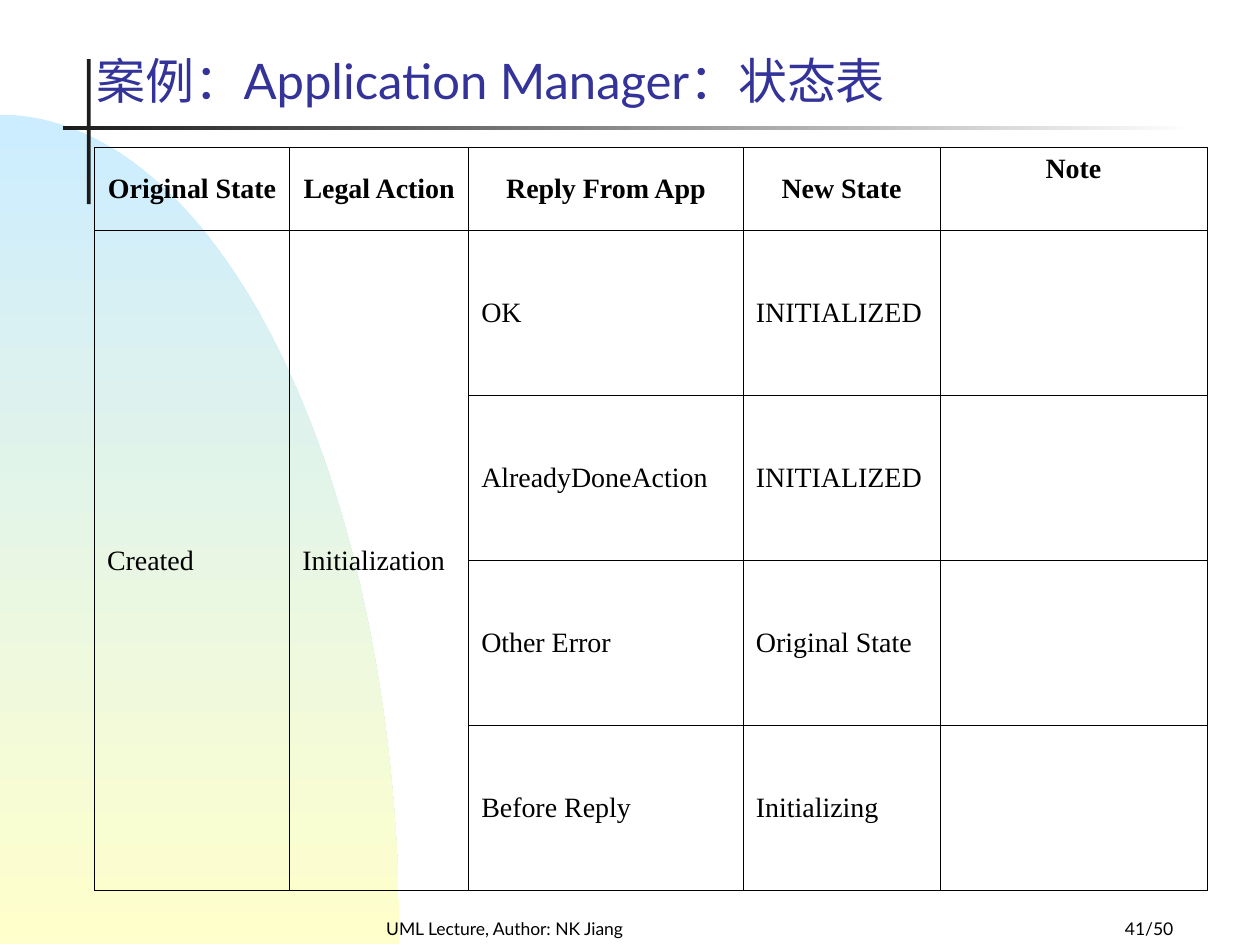
from math import cos, pi, sin

from lxml.etree import SubElement
from pptx import Presentation
from pptx.dml.color import RGBColor
from pptx.enum.shapes import MSO_SHAPE
from pptx.enum.text import MSO_ANCHOR, PP_ALIGN
from pptx.oxml.ns import qn
from pptx.util import Inches, Pt

COLORS = {
    "black": "000000",
    "charcoal": "1C1C1C",
    "white": "FFFFFF",
    "sky": "CCECFF",
    "cream": "FFFFCC",
    "title": "333399",
}
HEADERS = ["Original State", "Legal Action", "Reply From App", "New State", "Note"]
REPLIES = [
    ("OK", "INITIALIZED"),
    ("AlreadyDoneAction", "INITIALIZED"),
    ("Other Error", "Original State"),
    ("Before Reply", "Initializing"),
]
COLUMN_WIDTHS = [1.55, 1.42, 2.18, 1.56, 2.12]
HEADER_HEIGHT = 0.66
ROW_HEIGHT = 1.31


def color(name):
    return RGBColor.from_string(COLORS[name])


def paint(shape, *names, angle=0):
    shape.shadow.inherit = False
    shape.line.fill.background()
    if len(names) == 1:
        shape.fill.solid()
        shape.fill.fore_color.rgb = color(names[0])
        return
    shape.fill.gradient()
    shape.fill.gradient_angle = angle
    for stop, name in zip(shape.fill.gradient_stops, names):
        stop.color.rgb = color(name)


def write(frame, text, size=16, font="Times New Roman", ink="black", bold=False,
          align=PP_ALIGN.LEFT):
    para = frame.paragraphs[0]
    para.alignment = align
    span = para.add_run()
    span.text = text
    span.font.size = Pt(size)
    span.font.name = font
    span.font.bold = bold
    span.font.color.rgb = color(ink)


def add_text(page, left, top, width, height, text, **style):
    box = page.shapes.add_textbox(Inches(left), Inches(top), Inches(width), Inches(height))
    box.text_frame.word_wrap = True
    box.text_frame.vertical_anchor = MSO_ANCHOR.BOTTOM
    write(box.text_frame, text, font="Lato", **style)


def add_bar(page, left, top, width, height, *names):
    bar = page.shapes.add_shape(
        MSO_SHAPE.RECTANGLE, Inches(left), Inches(top), Inches(width), Inches(height))
    paint(bar, *names)


def add_quarter_ellipse(page, width, height, bottom, steps=60):
    angles = [pi / 2 * step / steps for step in range(steps + 1)]
    arc = [(Inches(width * sin(angle)), Inches(bottom - height * cos(angle)))
           for angle in angles]
    builder = page.shapes.build_freeform(*arc[0])
    builder.add_line_segments(arc[1:] + [(0, Inches(bottom))], close=True)
    paint(builder.convert_to_shape(), "sky", "cream", angle=270)


def style_cell(cell):
    properties = cell._tc.get_or_add_tcPr()
    for side in ("a:lnL", "a:lnR", "a:lnT", "a:lnB"):
        border = SubElement(properties, qn(side), w=str(Pt(0.45)))
        fill = SubElement(border, qn("a:solidFill"))
        SubElement(fill, qn("a:srgbClr"), val=COLORS["black"])
    cell.fill.background()
    cell.vertical_anchor = MSO_ANCHOR.MIDDLE


def add_state_table(page, left, top):
    row_count = len(REPLIES) + 1
    height = HEADER_HEIGHT + ROW_HEIGHT * len(REPLIES)
    table = page.shapes.add_table(
        row_count, len(HEADERS), Inches(left), Inches(top),
        Inches(sum(COLUMN_WIDTHS)), Inches(height)).table
    table.first_row = table.horz_banding = False
    for column, width in zip(table.columns, COLUMN_WIDTHS):
        column.width = Inches(width)
    for index, row in enumerate(table.rows):
        row.height = Inches(ROW_HEIGHT if index else HEADER_HEIGHT)
    for cell in table.iter_cells():
        style_cell(cell)

    for index, header in enumerate(HEADERS):
        write(table.cell(0, index).text_frame, header, bold=True, align=PP_ALIGN.CENTER)
    table.cell(0, len(HEADERS) - 1).vertical_anchor = MSO_ANCHOR.TOP
    for index, text in enumerate(["Created", "Initialization"]):
        cell = table.cell(1, index)
        cell.merge(table.cell(row_count - 1, index))
        write(cell.text_frame, text)
    for row, (reply, state) in enumerate(REPLIES, 1):
        write(table.cell(row, 2).text_frame, reply)
        write(table.cell(row, 3).text_frame, state)


def main():
    deck = Presentation()
    deck.slide_width, deck.slide_height = Inches(10), Inches(7.5)
    page = deck.slides.add_slide(deck.slide_layouts[6])
    page.background.fill.solid()
    page.background.fill.fore_color.rgb = color("white")

    add_quarter_ellipse(page, 3.17, 6.58, 7.49)
    add_bar(page, 0.69, 0.47, 0.03, 1.15, "charcoal")
    add_bar(page, 0.5, 1, 9, 0.03, "charcoal", "white")
    add_text(page, 2.42, 7.17, 3.17, 0.33, "UML Lecture, Author: NK Jiang",
             size=10, align=PP_ALIGN.CENTER)
    add_text(page, 7.33, 7.17, 2.08, 0.33, "41/50", size=10, align=PP_ALIGN.RIGHT)
    add_text(page, 0.67, 0.17, 7.08, 0.75, "案例：Application Manager：状态表",
             size=28, ink="title")
    add_state_table(page, 0.75, 1.17)
    deck.save("out.pptx")


if __name__ == "__main__":
    main()
